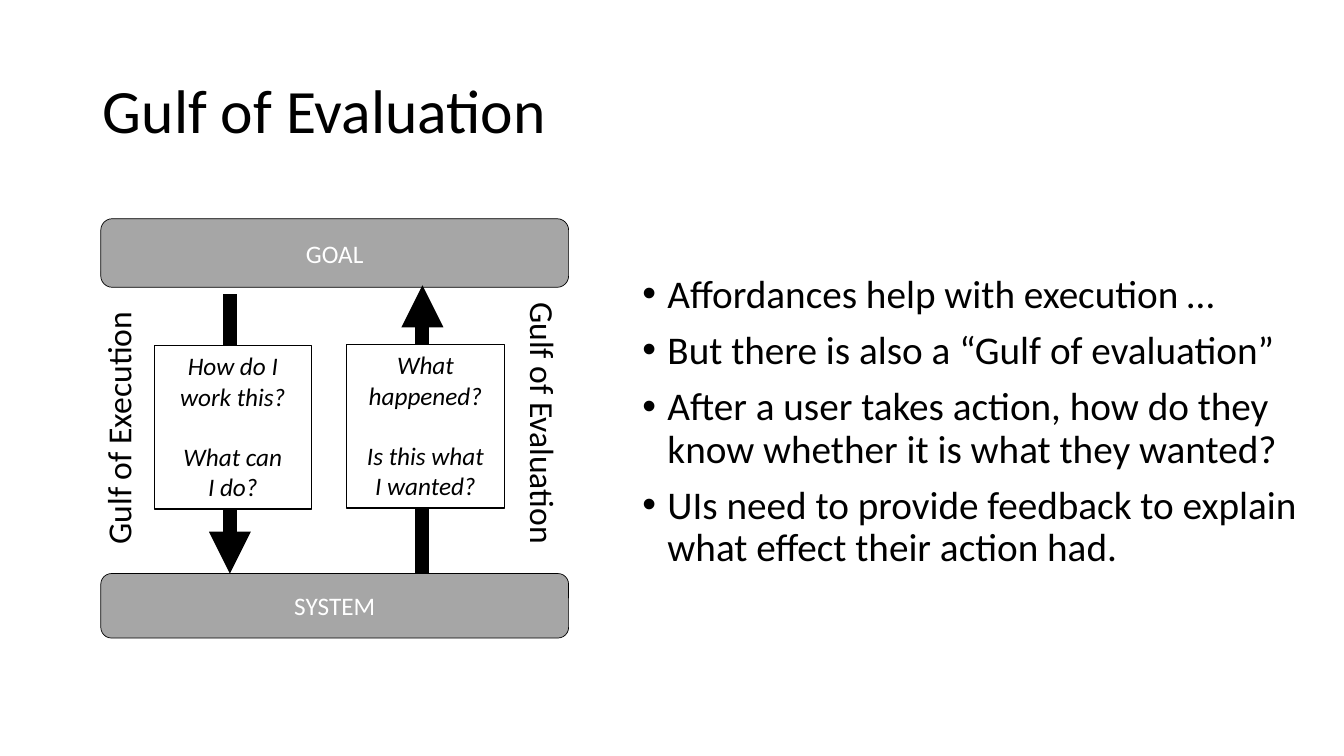
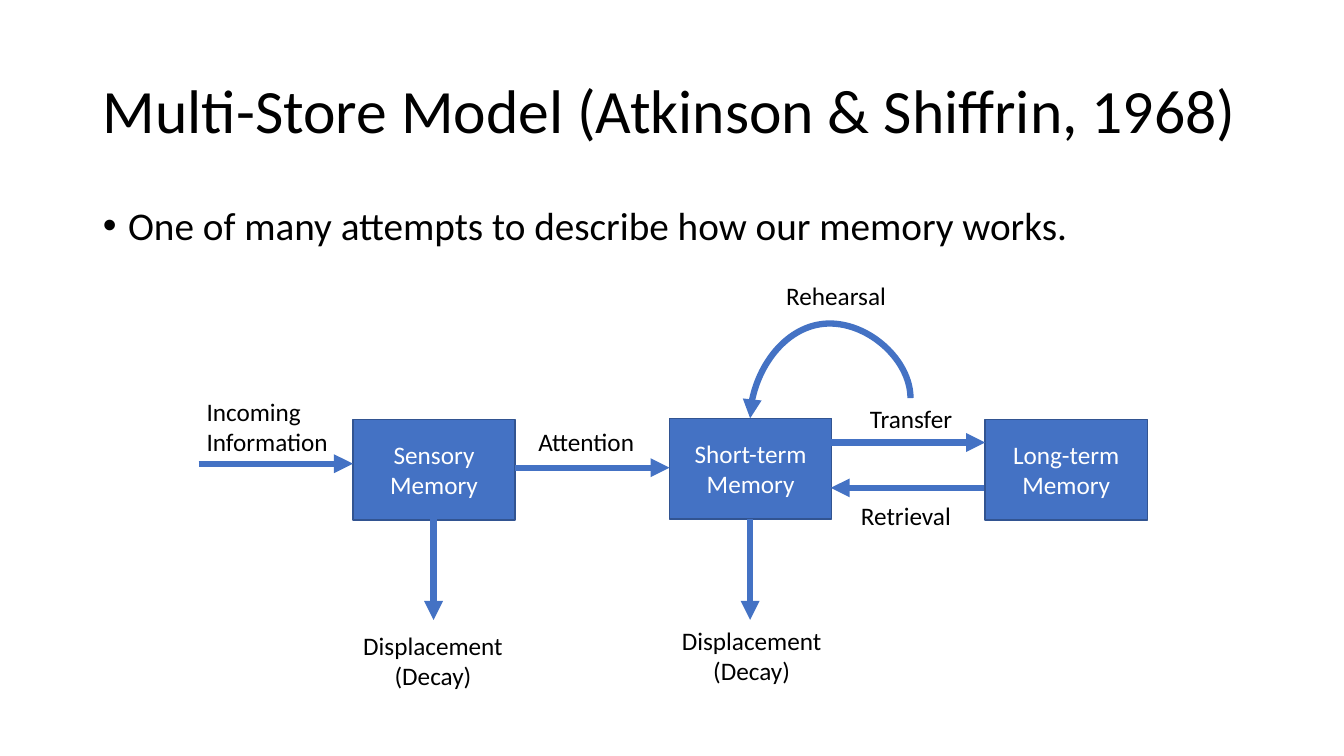
from lxml import etree
from pptx import Presentation
from pptx.dml.color import RGBColor
from pptx.enum.shapes import MSO_CONNECTOR, MSO_SHAPE
from pptx.enum.text import MSO_ANCHOR, MSO_AUTO_SIZE, PP_ALIGN
from pptx.oxml.ns import qn
from pptx.util import Inches, Pt

LEFT, CENTER = PP_ALIGN.LEFT, PP_ALIGN.CENTER
TOP, MIDDLE = MSO_ANCHOR.TOP, MSO_ANCHOR.MIDDLE
RECTANGLE, ROUNDED = MSO_SHAPE.RECTANGLE, MSO_SHAPE.ROUNDED_RECTANGLE
STRAIGHT = MSO_CONNECTOR.STRAIGHT
NO_AUTOSIZE = MSO_AUTO_SIZE.NONE

COLORS = {
    "black": "000000",
    "white": "FFFFFF",
    "gray": "A6A6A6",
    "blue": "4472C4",
    "navy": "325491",
}
FONT = "Calibri"
TITLE_AREA = (0.92, 0.4, 11.5, 1.45)
TITLE_AND_CONTENT = 1


def rgb(name):
    return RGBColor.from_string(COLORS[name])


def inches(values):
    return [Inches(value) for value in values]


def place(shape, area):
    for name, value in zip(("left", "top", "width", "height"), inches(area)):
        setattr(shape, name, value)


class Canvas:
    def __init__(self, deck):
        self.deck = deck
        self.slide = None

    def set_text(self, shape, paragraphs, size=18, color="black", italic=False,
                 align=LEFT, anchor=TOP, wrap=True, bullets=False, **spacing):
        """Fill a shape with paragraphs; spacing holds paragraph formats."""
        frame = shape.text_frame
        for name, value in {"word_wrap": wrap, "auto_size": NO_AUTOSIZE,
                            "vertical_anchor": anchor}.items():
            setattr(frame, name, value)
        for index, text in enumerate(paragraphs):
            para = frame.add_paragraph() if index else frame.paragraphs[0]
            para.text = text
            formats = {"alignment": align, **spacing}
            if not index:
                formats["space_before"] = Pt(0)
            for name, value in formats.items():
                setattr(para, name, value)
            if bullets:
                self.add_bullet(para)
            font_formats = {"name": FONT, "size": Pt(size), "italic": italic}
            for span in para.runs:
                for name, value in font_formats.items():
                    setattr(span.font, name, value)
                span.font.color.rgb = rgb(color)

    def add_bullet(self, para):
        properties = para._p.get_or_add_pPr()
        properties.set("marL", str(Inches(0.25)))
        properties.set("indent", str(-Inches(0.25)))
        etree.SubElement(properties, qn("a:buFont"), typeface="Arial")
        etree.SubElement(properties, qn("a:buChar"), char="•")

    def page(self, title, points, area):
        """Start a slide with a title and a bulleted list."""
        layout = self.deck.slide_layouts[TITLE_AND_CONTENT]
        self.slide = self.deck.slides.add_slide(layout)
        heading, body = self.slide.placeholders
        place(heading, TITLE_AREA)
        self.set_text(heading, [title], size=44, anchor=MIDDLE, line_spacing=0.9)
        place(body, area)
        self.set_text(body, points, size=28, bullets=True, line_spacing=0.9,
                      space_before=Pt(10))

    def box(self, kind, area, paragraphs, fill, line, width, **formats):
        box = self.slide.shapes.add_shape(kind, *inches(area))
        box.shadow.inherit = False
        box.fill.solid()
        box.fill.fore_color.rgb = rgb(fill)
        box.line.color.rgb = rgb(line)
        box.line.width = Pt(width)
        self.set_text(box, paragraphs, align=CENTER, **formats)

    def label(self, area, text, rotation=0, **formats):
        label = self.slide.shapes.add_textbox(*inches(area))
        label.rotation = rotation
        self.set_text(label, [text], **formats)

    def style_arrow(self, arrow, color, width):
        arrow.line.color.rgb = rgb(color)
        arrow.line.width = Pt(width)
        outline = arrow._element.spPr.find(qn("a:ln"))
        etree.SubElement(outline, qn("a:tailEnd"), type="triangle")

    def arrow(self, start, end, color="blue", width=4.5):
        arrow = self.slide.shapes.add_connector(STRAIGHT, *inches(start + end))
        self.style_arrow(arrow, color, width)
        etree.SubElement(arrow._element.spPr, qn("a:effectLst"))

    def curved_arrow(self, start, curves, color="blue", width=4.5):
        """Draw an arrow along Bezier curves: two control points and an end each."""
        builder = self.slide.shapes.build_freeform(*inches(start))
        builder.add_line_segments([inches(curve[-1]) for curve in curves], close=False)
        arrow = builder.convert_to_shape()
        arrow.shadow.inherit = False
        arrow.fill.background()
        self.style_arrow(arrow, color, width)
        segments = list(arrow._element.iter(qn("a:lnTo")))
        for segment, curve in zip(segments, curves):
            bezier = etree.Element(qn("a:cubicBezTo"))
            for x, y in curve:
                etree.SubElement(bezier, qn("a:pt"), x=str(Inches(x) - arrow.left),
                                 y=str(Inches(y) - arrow.top))
            segment.getparent().replace(segment, bezier)


def gulf_slide(canvas):
    canvas.page("Gulf of Evaluation", [
        "Affordances help with execution …",
        "But there is also a “Gulf of evaluation”",
        "After a user takes action, how do they know whether it is what they wanted?",
        "UIs need to provide feedback to explain what effect their action had.",
    ], (6.27, 2.67, 6.71, 4.76))
    for text, top, height in (("GOAL", 2.17, 0.68), ("SYSTEM", 5.69, 0.64)):
        canvas.box(ROUNDED, (1, top, 4.64, height), [text], "gray", "black", 0.5,
                   color="white", anchor=MIDDLE)
    gulfs = (
        ((2.28, 2.92), (2.28, 5.69), (1.53, 3.43),
         ["How do I work this?", "What can\nI do?"]),
        ((4.19, 5.68), (4.19, 2.83), (3.44, 3.42),
         ["What happened?", "Is this what\nI wanted?"]),
    )
    for start, end, corner, questions in gulfs:
        canvas.arrow(start, end, "black", 10)
        canvas.box(RECTANGLE, corner + (1.56, 1.62), questions, "white", "black", 0.75,
                   italic=True, space_before=Pt(21.6))
    canvas.label((-0.12, 3.96, 2.58, 0.5), "Gulf of Execution", 270, size=24, wrap=False)
    canvas.label((4.05, 3.99, 2.68, 0.5), "Gulf of Evaluation", 90, size=24, wrap=False)


def memory_slide(canvas):
    canvas.page("Multi-Store Model (Atkinson & Shiffrin, 1968)",
                ["One of many attempts to describe how our memory works."],
                (0.92, 2, 11.5, 4.76))
    stores = (("Sensory Memory", 3.5, 4.16), ("Short-term Memory", 6.64, 4.15),
              ("Long-term Memory", 9.77, 4.16))
    for text, left, top in stores:
        canvas.box(RECTANGLE, (left, top, 1.61, 1), [text], "blue", "navy", 1,
                   color="white", anchor=MIDDLE)
    flows = (
        ((1.97, 4.6), (3.5, 4.6)),
        ((5.11, 4.64), (6.64, 4.64)),
        ((8.24, 4.39), (9.77, 4.39)),
        ((9.76, 4.84), (8.24, 4.84)),
        ((4.3, 5.15), (4.3, 6.15)),
        ((7.44, 5.15), (7.44, 6.15)),
    )
    for start, end in flows:
        canvas.arrow(start, end)
    canvas.curved_arrow((9.03, 3.95), [
        [(9.03, 3.58), (8.63, 3.21), (8.23, 3.21)],
        [(7.84, 3.21), (7.44, 3.68), (7.44, 4.15)],
    ])
    labels = (
        ("Incoming Information", (1.95, 3.88, 1.42, 0.71), LEFT),
        ("Attention", (5.24, 4.18, 1.42, 0.4), LEFT),
        ("Transfer", (8.49, 3.95, 1.09, 0.4), CENTER),
        ("Retrieval", (8.44, 4.91, 1.42, 0.4), LEFT),
        ("Displacement (Decay)", (3.48, 6.2, 1.63, 0.71), CENTER),
        ("Displacement (Decay)", (6.64, 6.15, 1.63, 0.71), CENTER),
    )
    for text, area, align in labels:
        canvas.label(area, text, align=align)
    canvas.label((7.7, 2.73, 1.2, 0.4), "Rehearsal", wrap=False)


def main():
    deck = Presentation()
    deck.slide_width, deck.slide_height = inches((13.33, 7.5))
    canvas = Canvas(deck)
    gulf_slide(canvas)
    memory_slide(canvas)
    deck.save("out.pptx")


if __name__ == "__main__":
    main()
